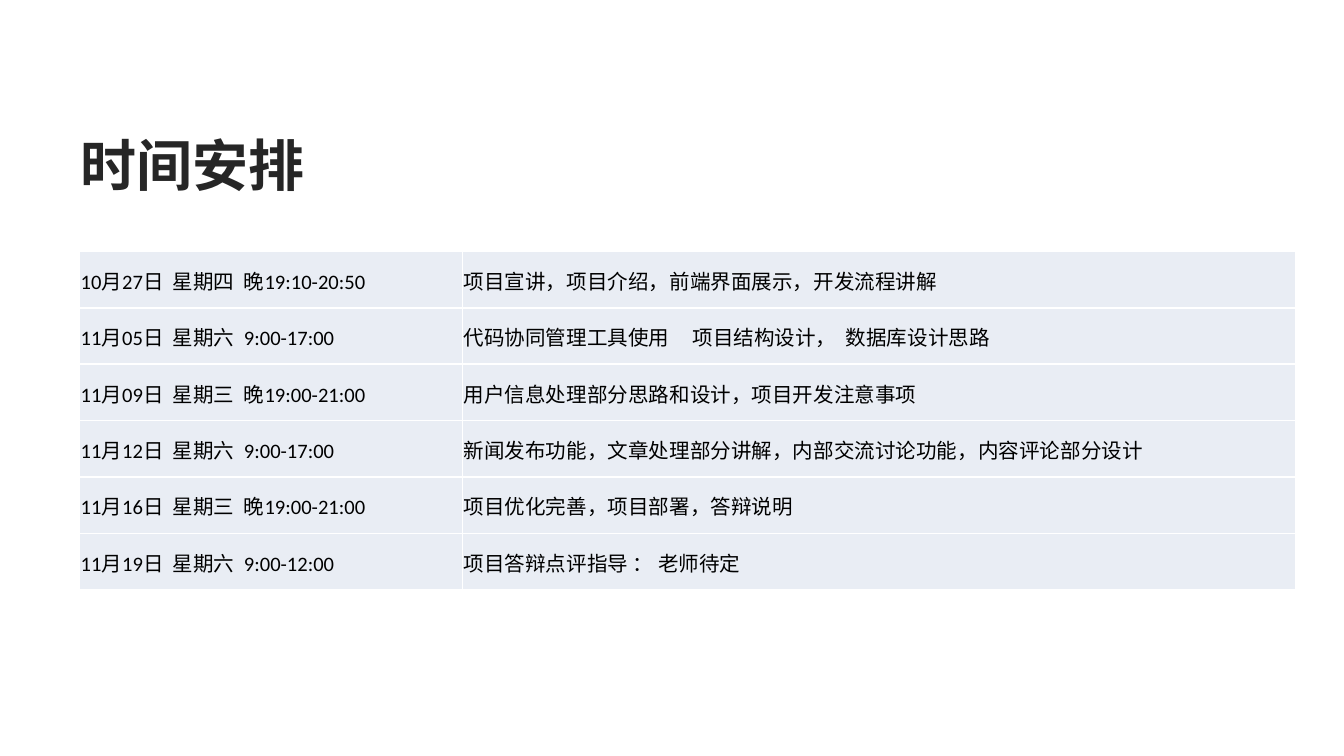
from lxml import etree
from pptx import Presentation
from pptx.dml.color import RGBColor
from pptx.enum.text import MSO_ANCHOR, PP_ALIGN
from pptx.oxml.ns import qn
from pptx.util import Inches, Pt

MIDDLE = MSO_ANCHOR.MIDDLE
LEFT = PP_ALIGN.LEFT

# Content
TITLE = "时间安排"
SCHEDULE = [
    ("10月27日  星期四  晚19:10-20:50", "项目宣讲，项目介绍，前端界面展示，开发流程讲解"),
    ("11月05日  星期六  9:00-17:00", "代码协同管理工具使用     项目结构设计，  数据库设计思路"),
    ("11月09日  星期三  晚19:00-21:00", "用户信息处理部分思路和设计，项目开发注意事项"),
    ("11月12日  星期六  9:00-17:00", "新闻发布功能，文章处理部分讲解，内部交流讨论功能，内容评论部分设计"),
    ("11月16日  星期三  晚19:00-21:00", "项目优化完善，项目部署，答辩说明"),
    ("11月19日  星期六  9:00-12:00", "项目答辩点评指导 ： 老师待定"),
]

# Style
TITLE_COLOR = RGBColor(0x26, 0x26, 0x26)
TEXT_COLOR = RGBColor(0, 0, 0)
CELL_COLOR = RGBColor(0xE9, 0xED, 0xF4)
BORDER_COLOR = RGBColor(0xFF, 0xFF, 0xFF)
CJK_FONT = "Noto Sans CJK SC"
LATIN_FONT = "Calibri"
COLUMN_WIDTHS = (2.85, 6.2)
ROW_HEIGHT = 0.42


def style_run(run, size, font, color, bold=False):
    run.font.size = Pt(size)
    run.font.bold = bold
    run.font.color.rgb = color
    run.font.name = font
    etree.SubElement(run.font._element, qn("a:ea"), typeface=CJK_FONT)


def add_borders(cell, color, width):
    properties = cell._tc.get_or_add_tcPr()
    for side in ("a:lnL", "a:lnR", "a:lnT", "a:lnB"):
        line = etree.SubElement(properties, qn(side), w=str(Pt(width)))
        fill = etree.SubElement(line, qn("a:solidFill"))
        etree.SubElement(fill, qn("a:srgbClr"), val=str(color))


def fill_cell(cell, text):
    cell.text = text
    cell.vertical_anchor = MIDDLE
    cell.margin_left = cell.margin_right = cell.margin_top = Inches(0.01)
    cell.margin_bottom = 0
    add_borders(cell, BORDER_COLOR, 1)
    cell.fill.solid()
    cell.fill.fore_color.rgb = CELL_COLOR
    style_run(cell.text_frame.paragraphs[0].runs[0], 11, LATIN_FONT, TEXT_COLOR)


# Widescreen slide, 16:9
presentation = Presentation()
presentation.slide_width = Inches(10)
presentation.slide_height = Inches(10 * 9 / 16)
slide = presentation.slides.add_slide(presentation.slide_layouts[5])

# Title
title = slide.shapes.title
title.left, title.top = Inches(0.5), Inches(0.9)
title.width, title.height = Inches(8.83), Inches(0.65)
title.text_frame.text = TITLE
title.text_frame.vertical_anchor = MIDDLE
heading = title.text_frame.paragraphs[0]
heading.alignment = LEFT
style_run(heading.runs[0], 30, CJK_FONT, TITLE_COLOR, bold=True)

# Schedule table
schedule = slide.shapes.add_table(
    len(SCHEDULE), len(COLUMN_WIDTHS), Inches(0.59), Inches(1.87),
    Inches(sum(COLUMN_WIDTHS)), Inches(ROW_HEIGHT * len(SCHEDULE))).table
schedule.first_row = False
schedule.horz_banding = False
for column, width in zip(schedule.columns, COLUMN_WIDTHS):
    column.width = Inches(width)
for row, session in zip(schedule.rows, SCHEDULE):
    row.height = Inches(ROW_HEIGHT)
    for cell, text in zip(row.cells, session):
        fill_cell(cell, text)

presentation.save("out.pptx")
